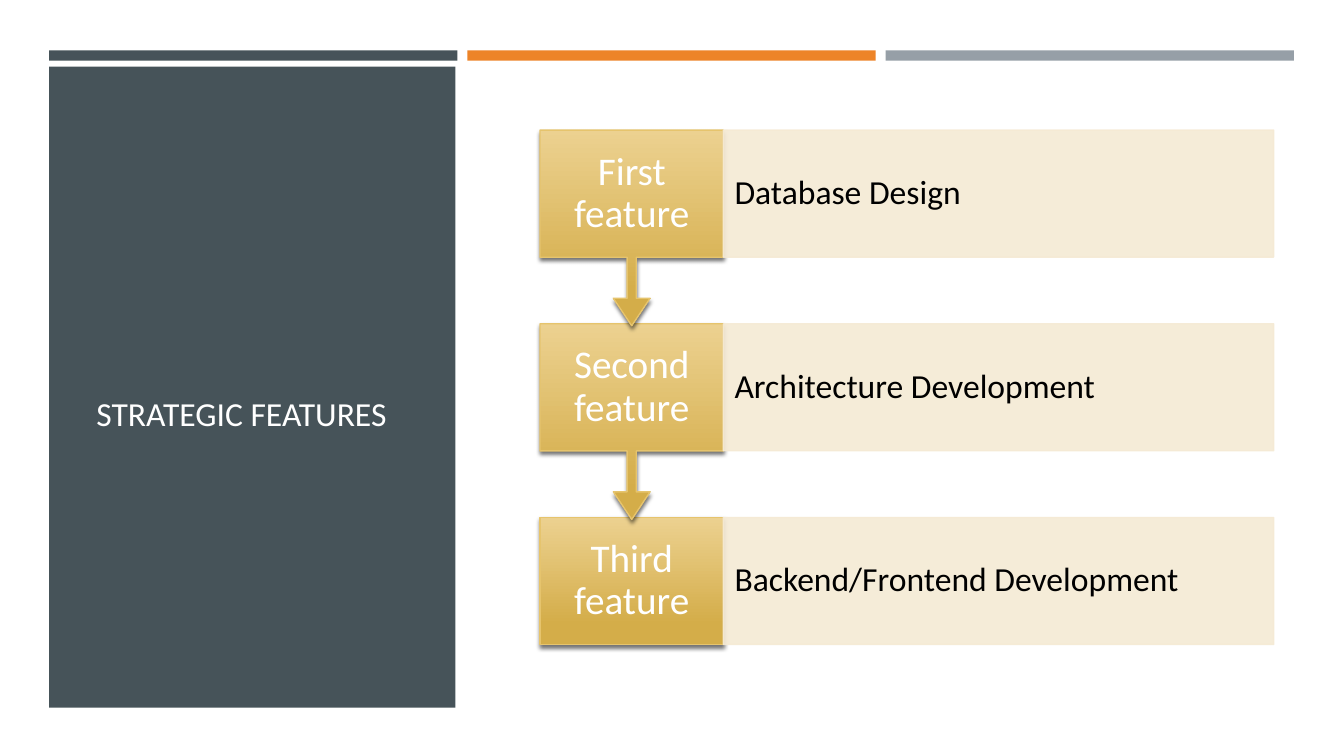
from lxml import etree
from pptx import Presentation
from pptx.dml.color import RGBColor
from pptx.enum.shapes import MSO_SHAPE as Preset
from pptx.enum.text import MSO_ANCHOR as Anchor, MSO_AUTO_SIZE as AutoSize, PP_ALIGN as Align
from pptx.oxml import parse_xml
from pptx.oxml.ns import nsdecls, qn
from pptx.util import Cm, Pt

FONT = "Calibri"
COLORS = {
    "slate": "465359",
    "orange": "ED8428",
    "grey": "969FA7",
    "gold_light": "ECD190",
    "gold_dark": "D4AD49",
    "gold_line": "E6C46D",
    "cream": "F5EAD4",
    "white": "FFFFFF",
    "black": "000000",
}
FEATURES = [
    ("First feature", "Database Design"),
    ("Second feature", "Architecture Development"),
    ("Third feature", "Backend/Frontend Development"),
]


def color(name):
    """Return the named colour."""
    return RGBColor.from_string(COLORS[name])


def add_box(page, preset, left, top, width, height):
    """Add a preset shape without a shadow, measured in centimetres."""
    box = page.shapes.add_shape(preset, Cm(left), Cm(top), Cm(width), Cm(height))
    box.shadow.inherit = False
    return box


def add_plain(page, left, top, width, height, fill):
    """Add a filled rectangle without an outline."""
    box = add_box(page, Preset.RECTANGLE, left, top, width, height)
    box.fill.solid()
    box.fill.fore_color.rgb = color(fill)
    box.line.fill.background()
    return box


def write(box, text, size, ink, align, anchor, inset=0.25):
    """Write one formatted paragraph into a shape."""
    frame = box.text_frame
    frame.text = text
    frame.word_wrap = True
    frame.auto_size = AutoSize.NONE
    frame.vertical_anchor = anchor
    frame.margin_left = frame.margin_right = Cm(inset)
    para = frame.paragraphs[0]
    para.alignment = align
    para.line_spacing = 0.9
    span = para.runs[0]
    span.font.name = FONT
    span.font.size = Pt(size)
    span.font.color.rgb = color(ink)


def add_shadow(box):
    """Give a shape a soft shadow straight below it."""
    effects = box.element.spPr.find(qn("a:effectLst"))
    effects.append(parse_xml(
        f'<a:outerShdw {nsdecls("a")} blurRad="{Pt(3)}" dist="{Pt(2)}" dir="5400000" '
        f'algn="ctr" rotWithShape="0"><a:srgbClr val="{COLORS["black"]}">'
        '<a:alpha val="55000"/></a:srgbClr></a:outerShdw>'))


def add_bars(page, left, top, width, height, gap):
    """Draw the row of coloured bars along the top."""
    for index, fill in enumerate(["slate", "orange", "grey"]):
        add_plain(page, left + index * (width + gap), top, width, height, fill)


def add_title_panel(page, left, top, width, height):
    """Draw the side panel and lay the slide title over it."""
    add_plain(page, left, top, width, height, "slate")
    title = page.shapes.title
    title.left, title.top = Cm(left + 0.94), Cm(top + 6.78)
    title.width, title.height = Cm(width - 1.81), Cm(2.59)
    write(title, "STRATEGIC FEATURES", 24, "white", Align.LEFT, Anchor.BOTTOM)
    title.element.getparent().append(title.element)


def add_step(page, label, left, top, width, height, arrow):
    """Draw a gold step, with an arrow of the given length below it."""
    preset = Preset.DOWN_ARROW_CALLOUT if arrow else Preset.RECTANGLE
    step = add_box(page, preset, left, top, width, height + arrow)
    if arrow:
        for index, value in enumerate([0.05, 0.1, 0.15, 0.65]):
            step.adjustments[index] = value
    step.fill.gradient()
    step.fill.gradient_angle = 270
    stops = zip(step.fill.gradient_stops, [0, 0.84], ["gold_light", "gold_dark"])
    for stop, position, shade in stops:
        stop.position = position
        stop.color.rgb = color(shade)
    step.line.color.rgb = color("gold_line")
    step.line.width = Pt(1)
    add_shadow(step)
    write(step, label, 28, "white", Align.CENTER, Anchor.MIDDLE, 0.33)


def add_detail(page, text, left, top, width, height):
    """Draw the pale strip that names a feature."""
    strip = add_plain(page, left, top, width, height, "cream")
    strip.line.color.rgb = color("cream")
    strip.line.width = Pt(1)
    for tint in strip.element.spPr.iter(qn("a:srgbClr")):
        etree.SubElement(tint, qn("a:alpha"), val="90000")
    write(strip, text, 24, "black", Align.LEFT, Anchor.MIDDLE, 0.28)


def add_features(page, left, top, width, height):
    """Stack the feature rows, the last one at the back."""
    row_height, arrow = 3.2, 1.73
    pitch = (height - row_height) / (len(FEATURES) - 1)
    step_width = width / 4
    for index, (label, detail) in reversed(list(enumerate(FEATURES))):
        row_top = top + index * pitch
        is_last = index == len(FEATURES) - 1
        add_step(page, label, left, row_top, step_width, row_height, 0 if is_last else arrow)
        add_detail(page, detail, left + step_width, row_top, width - step_width, row_height)


def main():
    """Build the slide and save it."""
    deck = Presentation()
    deck.slide_width, deck.slide_height = Cm(33.87), Cm(19.05)
    page = deck.slides.add_slide(deck.slide_layouts[5])
    add_bars(page, 1.24, 1.27, 10.29, 0.26, 0.25)
    add_title_panel(page, 1.24, 1.68, 10.24, 16.15)
    add_features(page, 13.61, 3.28, 18.49, 12.96)
    deck.save("out.pptx")


if __name__ == "__main__":
    main()
